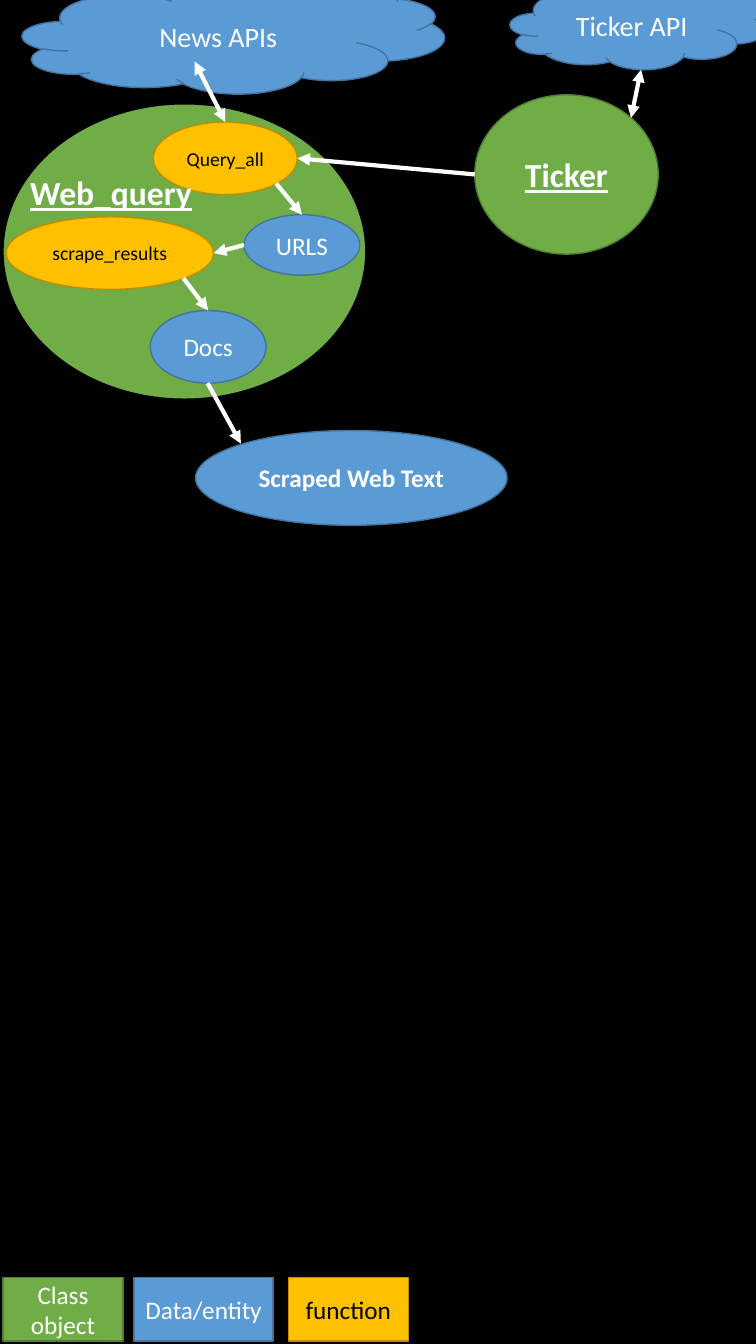
from dataclasses import dataclass

from pptx import Presentation
from pptx.dml.color import RGBColor
from pptx.enum.shapes import MSO_CONNECTOR, MSO_SHAPE
from pptx.enum.text import MSO_ANCHOR, PP_ALIGN
from pptx.oxml.ns import qn
from pptx.util import Inches, Pt
from lxml.etree import SubElement


@dataclass(frozen=True)
class Theme:
    font: str = "Calibri"
    black: str = "000000"
    white: str = "FFFFFF"
    # Each kind of node: fill, line, text
    group: tuple = ("70AD47", "538035", "FFFFFF")
    data: tuple = ("5B9BD5", "43739E", "FFFFFF")
    func: tuple = ("FFC000", "BD8E00", "000000")
    frame: tuple = ("70AD47", "000000", "FFFFFF")
    back: tuple = ("000000", "000000", "FFFFFF")
    title: int = 24
    cloud: int = 20
    body: int = 18
    small: int = 14
    edge: int = 1
    arrow: int = 3


THEME = Theme()
OVAL, RECT, CLOUD = MSO_SHAPE.OVAL, MSO_SHAPE.RECTANGLE, MSO_SHAPE.CLOUD
TOP = 0


def color(code):
    return RGBColor.from_string(code)


def write(shape, text, size, ink, bold=False, under=False):
    run = shape.text_frame.paragraphs[0].add_run()
    run.text = text
    font = run.font
    font.name = THEME.font
    font.size = Pt(size)
    font.bold = bold
    font.underline = under
    font.color.rgb = color(ink)


def add_node(slide, form, box, style, text="", size=THEME.body, **marks):
    """Draw a filled shape with centred text; box is left, top, width, height."""
    fill, line, ink = style
    node = slide.shapes.add_shape(form, *map(Inches, box))
    node.shadow.inherit = False
    node.fill.solid()
    node.fill.fore_color.rgb = color(fill)
    node.line.color.rgb = color(line)
    node.line.width = Pt(THEME.edge)
    if text:
        frame = node.text_frame
        frame.word_wrap = True
        frame.vertical_anchor = MSO_ANCHOR.MIDDLE
        frame.paragraphs[0].alignment = PP_ALIGN.CENTER
        write(node, text, size, ink, **marks)
    return node


def add_label(slide, box, text):
    label = slide.shapes.add_textbox(*map(Inches, box))
    label.text_frame.word_wrap = True
    write(label, text, THEME.title, THEME.white, bold=True, under=True)


def add_arrow(slide, start, end, both=False, target=None):
    """Draw an arrow; target is the node whose top it joins."""
    arrow = slide.shapes.add_connector(
        MSO_CONNECTOR.STRAIGHT, *map(Inches, start + end))
    if target is not None:
        arrow.end_connect(target, TOP)
    arrow.line.color.rgb = color(THEME.white)
    arrow.line.width = Pt(THEME.arrow)
    props = arrow.element.spPr
    line = props.find(qn("a:ln"))
    for tip in ("a:headEnd", "a:tailEnd") if both else ("a:tailEnd",):
        SubElement(line, qn(tip), type="triangle")
    SubElement(props, qn("a:effectLst"))


def add_legend(slide):
    items = [
        (0.03, 1.19, THEME.group, "Class object"),
        (1.33, 1.38, THEME.data, "Data/entity"),
        (2.86, 1.19, THEME.func, "function"),
    ]
    for left, width, style, text in items:
        add_node(slide, RECT, (left, 12.67, width, 0.63), style, text)


def add_flow(slide):
    add_node(slide, OVAL, (4.71, 0.94, 1.82, 1.58), THEME.group,
             "Ticker", THEME.title, bold=True, under=True)
    add_node(slide, OVAL, (0.03, 1.03, 3.6, 2.93), THEME.frame)
    query = add_node(slide, OVAL, (1.52, 1.21, 1.43, 0.72), THEME.func,
                     "Query_all", THEME.small)
    urls = add_node(slide, OVAL, (2.42, 2.13, 1.15, 0.6), THEME.data, "URLS")
    add_node(slide, OVAL, (0.06, 2.15, 2.06, 0.72), THEME.func,
             "scrape_results", THEME.small)
    docs = add_node(slide, OVAL, (1.49, 3.08, 1.15, 0.72), THEME.data, "Docs")
    add_label(slide, (0.2, 1.66, 1.84, 0.5), "Web_query")
    add_node(slide, CLOUD, (0.22, -0.15, 4.19, 1.08), THEME.data,
             "News APIs", THEME.cloud)
    add_node(slide, CLOUD, (5.06, -0.15, 2.6, 0.84), THEME.data,
             "Ticker API", THEME.cloud)
    add_node(slide, OVAL, (1.94, 4.27, 3.09, 0.94), THEME.data,
             "Scraped Web Text", bold=True)

    add_arrow(slide, (2.74, 1.82), (2.99, 2.13), target=urls)
    add_arrow(slide, (2.42, 2.43), (2.12, 2.51))
    add_arrow(slide, (4.71, 1.73), (2.95, 1.57))
    add_arrow(slide, (1.82, 2.76), (2.06, 3.08), target=docs)
    add_arrow(slide, (1.93, 0.61), (2.24, 1.21), both=True, target=query)
    add_arrow(slide, (6.36, 0.69), (6.26, 1.17), both=True)
    add_arrow(slide, (2.06, 3.8), (2.39, 4.4))


def main():
    deck = Presentation()
    deck.slide_width = Inches(7.5)
    deck.slide_height = Inches(13.33)
    slide = deck.slides.add_slide(deck.slide_layouts[6])
    add_node(slide, RECT, (-0.04, 0, 7.53, 13.33), THEME.back)
    add_flow(slide)
    add_legend(slide)
    deck.save("out.pptx")


if __name__ == "__main__":
    main()
